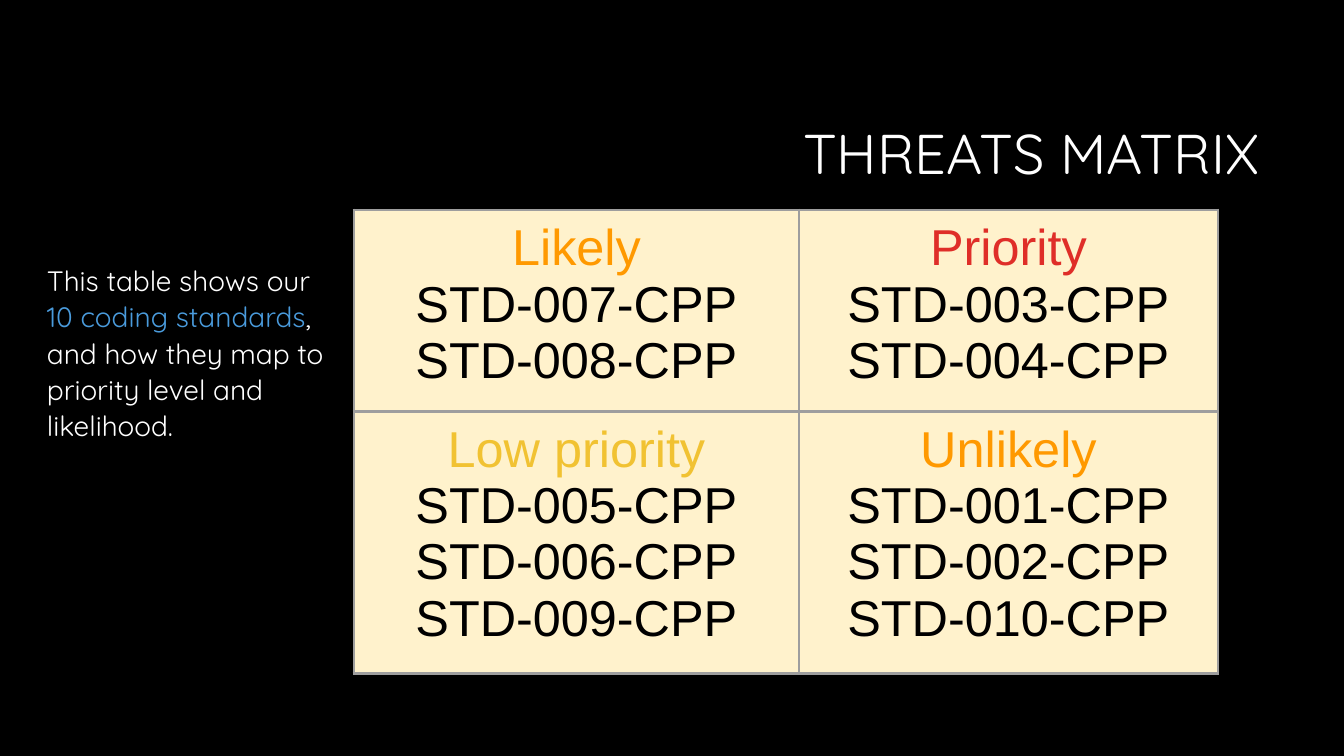
import pptx
import pptx.dml.color
import pptx.enum.text
import pptx.oxml
import pptx.oxml.ns
import pptx.util

EMU_PER_PX = 914400 / 100.8
COLORS = {
    "background": "000000",
    "text": "FFFFFF",
    "accent": "4A9BDC",
    "cell": "FFF2CC",
    "border": "9E9E9E",
    "code": "000000",
    "high": "DF2E28",
    "medium": "FF9900",
    "low": "F1C232",
}
ALIGN = pptx.enum.text.PP_ALIGN
ANCHOR = pptx.enum.text.MSO_ANCHOR

# Heading, heading colour and standards of each cell
MATRIX = [
    [("Likely", "medium", ["STD-007-CPP", "STD-008-CPP"]),
     ("Priority", "high", ["STD-003-CPP", "STD-004-CPP"])],
    [("Low priority", "low", ["STD-005-CPP", "STD-006-CPP", "STD-009-CPP"]),
     ("Unlikely", "medium", ["STD-001-CPP", "STD-002-CPP", "STD-010-CPP"])],
]


def px(n):
    return pptx.util.Emu(round(n * EMU_PER_PX))


def rgb(name):
    return pptx.dml.color.RGBColor.from_string(COLORS[name])


def format_run(r, font, size, color):
    r.font.name = font
    r.font.size = pptx.util.Pt(size)
    r.font.color.rgb = rgb(color)


def add_text(slide, box, runs, size, align, spacing, anchor):
    """Add a one-paragraph text box; runs are (text, colour) pairs."""
    tf = slide.shapes.add_textbox(*map(px, box)).text_frame
    tf.word_wrap = True
    tf.vertical_anchor = anchor
    p = tf.paragraphs[0]
    p.alignment = align
    p.line_spacing = spacing
    for text, color in runs:
        if text.startswith("\v"):
            p.add_line_break()
        r = p.add_run()
        r.text = text.lstrip("\v")
        format_run(r, "Quicksand", size, color)


def set_borders(cell, color, width):
    tc_pr = cell._tc.get_or_add_tcPr()
    for i, side in enumerate(("lnL", "lnR", "lnT", "lnB")):
        ln = pptx.oxml.parse_xml(
            f'<a:{side} {pptx.oxml.ns.nsdecls("a")} w="{pptx.util.Pt(width)}">'
            f'<a:solidFill><a:srgbClr val="{COLORS[color]}"/></a:solidFill>'
            f'</a:{side}>')
        tc_pr.insert(i, ln)


def fill_cell(cell, heading, color, codes):
    cell.fill.solid()
    cell.fill.fore_color.rgb = rgb("cell")
    cell.margin_left = cell.margin_right = px(10)
    cell.margin_top = cell.margin_bottom = px(10)
    set_borders(cell, "border", 2.25)
    tf = cell.text_frame
    tf.text = "\n".join([heading, *codes])
    for i, p in enumerate(tf.paragraphs):
        p.alignment = ALIGN.CENTER
        format_run(p.runs[0], "Arial", 36, "code" if i else color)


def add_matrix(slide, left, top, widths, row_height):
    rows = len(MATRIX)
    table = slide.shapes.add_table(
        rows, len(widths), px(left), px(top),
        px(sum(widths)), px(row_height * rows)).table
    table.first_row = table.horz_banding = False
    for column, width in zip(table.columns, widths):
        column.width = px(width)
    for i, row in enumerate(MATRIX):
        table.rows[i].height = px(row_height)
        for j, content in enumerate(row):
            fill_cell(table.cell(i, j), *content)


def main():
    prs = pptx.Presentation()
    prs.slide_width, prs.slide_height = px(1344), px(756)
    slide = prs.slides.add_slide(prs.slide_layouts[6])
    slide.background.fill.solid()
    slide.background.fill.fore_color.rgb = rgb("background")

    # Title
    add_text(slide, (320, 85, 949, 142), [("THREATS MATRIX", "text")],
             40, ALIGN.RIGHT, 0.9, ANCHOR.MIDDLE)

    # Explanation beside the table
    add_text(slide, (37, 256, 306, 372),
             [("This table shows our", "text"),
              ("\v10 coding standards", "accent"),
              (", and how they map to priority level and likelihood.", "text")],
             20, ALIGN.LEFT, 1.08, ANCHOR.TOP)

    # Threats matrix
    add_matrix(slide, 354, 210, (445, 419), 195)

    prs.save("out.pptx")


if __name__ == "__main__":
    main()
